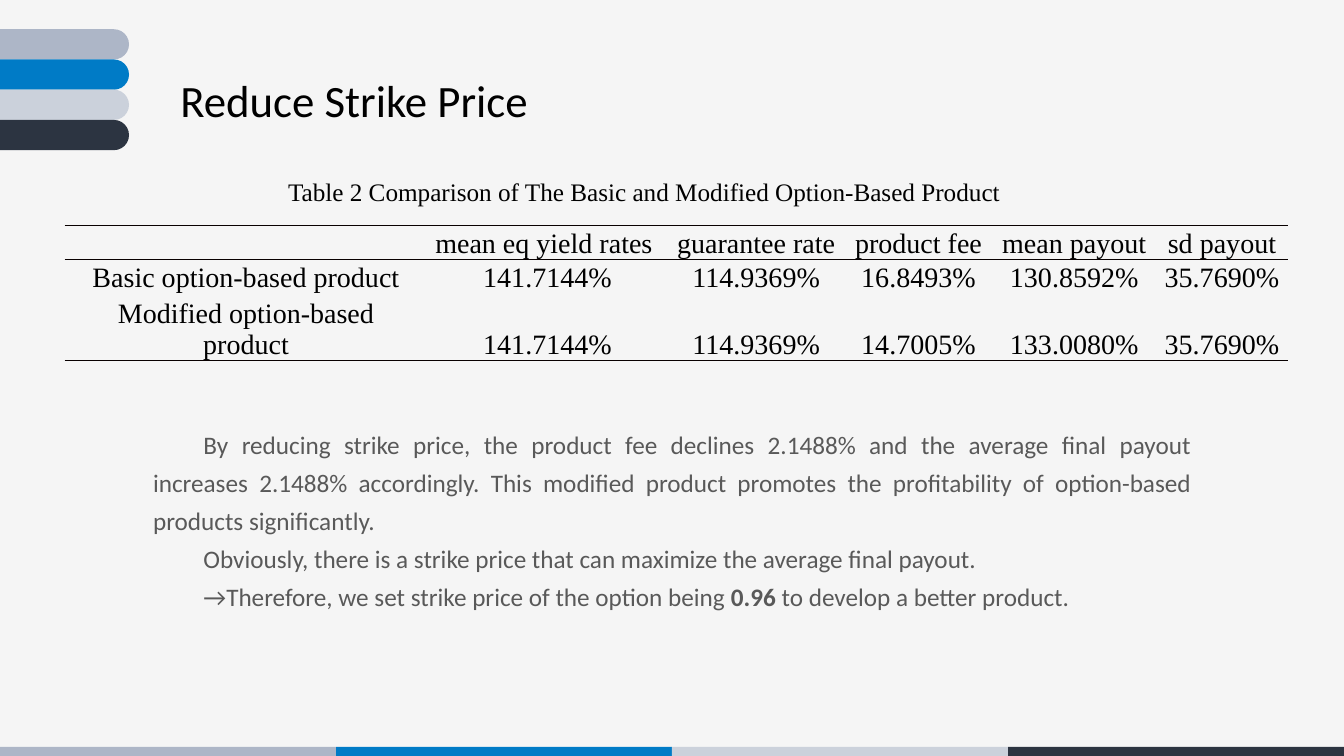
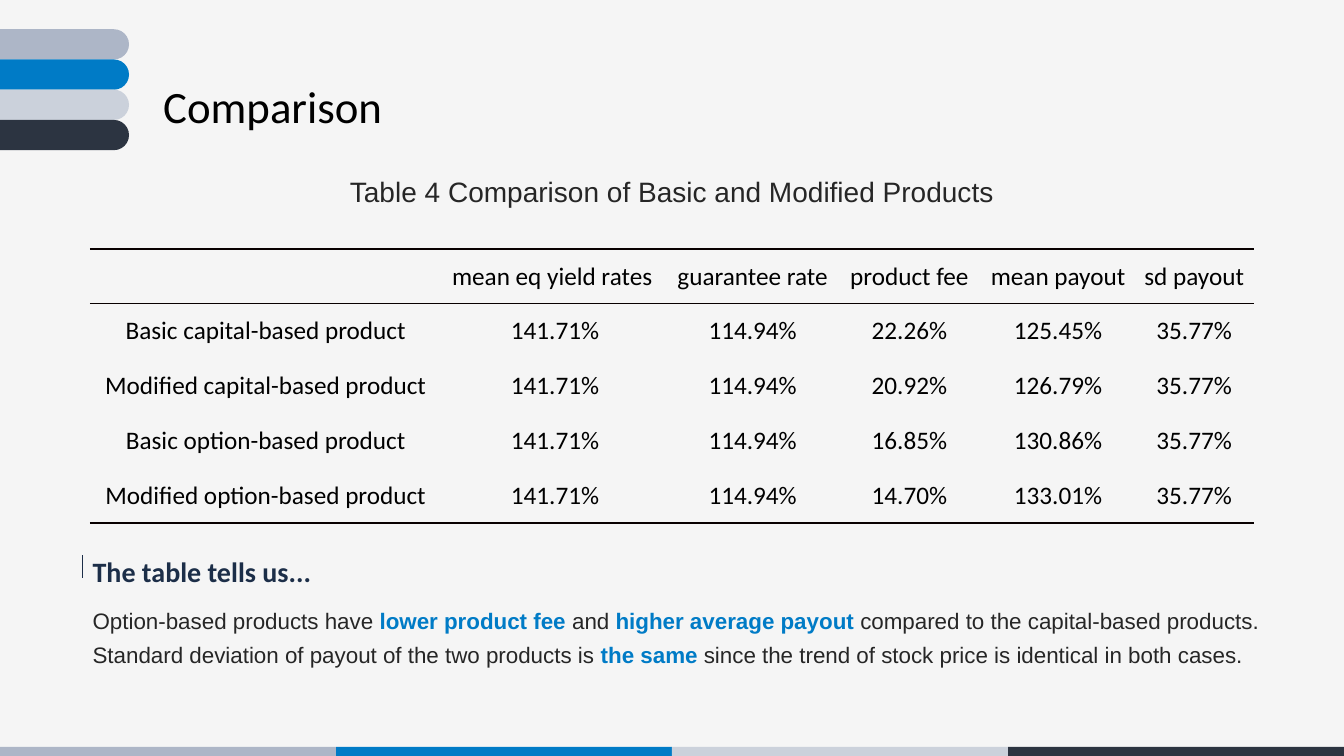
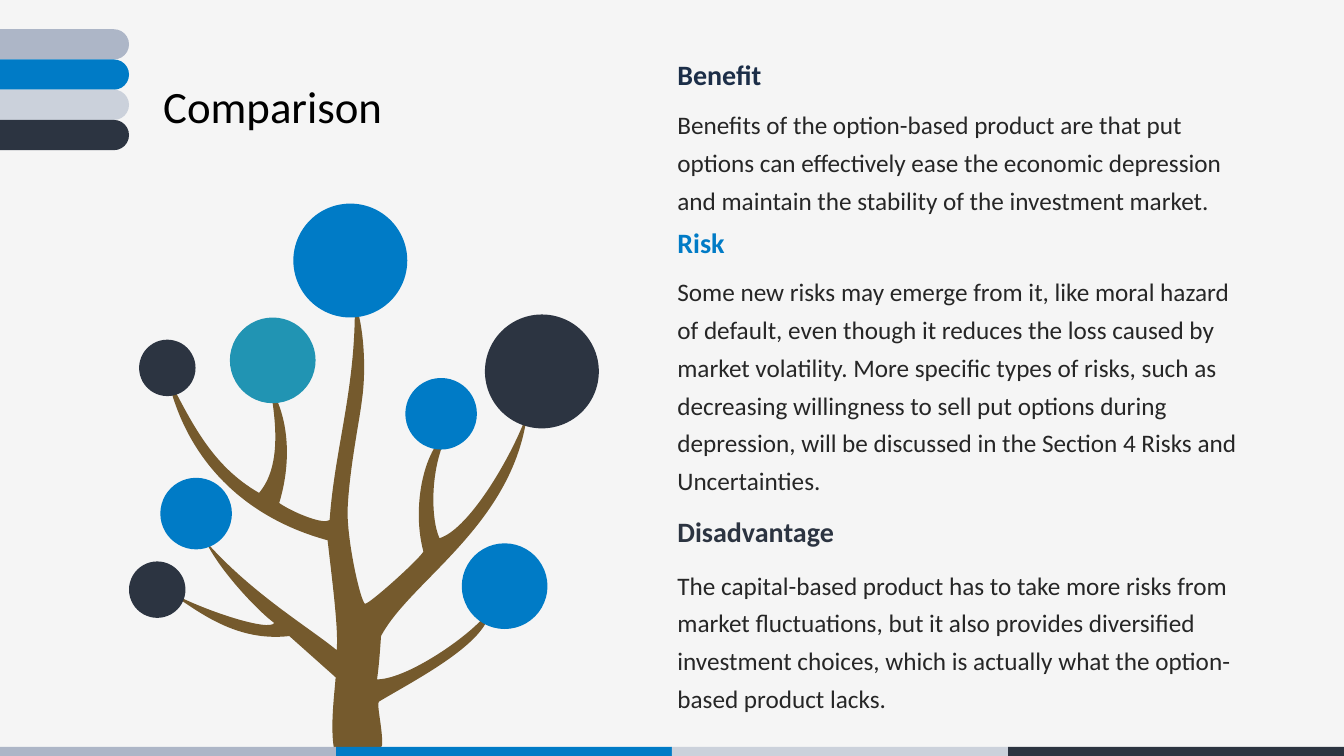
from lxml import etree
from pptx import Presentation
from pptx.dml.color import RGBColor
from pptx.enum.shapes import MSO_CONNECTOR, MSO_SHAPE
from pptx.enum.text import MSO_ANCHOR, PP_ALIGN
from pptx.oxml.ns import qn
from pptx.util import Inches, Pt

RECTANGLE = MSO_SHAPE.RECTANGLE
ROUNDED = MSO_SHAPE.ROUNDED_RECTANGLE
OVAL = MSO_SHAPE.OVAL
STRAIGHT = MSO_CONNECTOR.STRAIGHT
LEFT, CENTER, JUSTIFY = PP_ALIGN.LEFT, PP_ALIGN.CENTER, PP_ALIGN.JUSTIFY
BOTTOM, MIDDLE = MSO_ANCHOR.BOTTOM, MSO_ANCHOR.MIDDLE

GREY, BLUE, PALE, DARK = "ADB6C7", "007BC6", "CBD1DB", "2C3441"
NAVY, TEAL, BROWN = "1C2E48", "2194B3", "755A2D"
BLACK, INK, SOFT, PAPER, RULE = "000000", "262626", "595959", "F5F5F5", "080000"
BAND_COLOURS = [GREY, BLUE, PALE, DARK]
SERIF = "Times New Roman"


def paint(fill, colour):
    """Make any fill (shape, line, font or background) solid in a hex colour."""
    fill.solid()
    fill.fore_color.rgb = RGBColor.from_string(colour)


def write(frame, paragraphs, size=18, font="Calibri", colour=INK, bold=False,
          align=LEFT, spacing=None, indent=None):
    """Fill a text frame; a paragraph is a list of strings or (text, colour) bold spans."""
    frame.word_wrap = True
    for index, spans in enumerate(paragraphs):
        para = frame.paragraphs[0] if index == 0 else frame.add_paragraph()
        para.alignment = align
        if spacing:
            para.line_spacing = spacing
        if indent:
            properties = para._p.get_or_add_pPr()
            properties.set("marL", "0")
            properties.set("indent", str(Inches(indent)))
        for span in spans:
            text, span_colour = (span, colour) if isinstance(span, str) else span
            run = para.add_run()
            run.text = text
            run.font.size = Pt(size)
            run.font.name = font
            run.font.bold = bold or not isinstance(span, str)
            paint(run.font.fill, span_colour)


deck = Presentation()
deck.slide_width, deck.slide_height = Inches(13.33), Inches(7.5)
paint(deck.slide_master.background.fill, PAPER)
pages = [deck.slides.add_slide(deck.slide_layouts[6]) for _ in range(3)]
strike_page, table_page, tree_page = pages

# Shared bands: (page, kind, left, top, width, height, colour)
shapes = []
for page in pages:
    for index, colour in enumerate(BAND_COLOURS):
        shapes.append((page, RECTANGLE, index * 13.33 / 4, 7.41, 13.33 / 4, 0.09, colour))
        shapes.append((page, ROUNDED, -0.62, 0.29 + index * 0.3, 1.9, 0.3, colour))

# Tree trunk: one point is a straight line, three points are a cubic curve
trunk_start = (3.31, 7.41)
trunk_segments = [
    [(3.28, 7.2), (3.31, 6.95), (3.33, 6.72)], [(2.87, 6.31)],
    [(2.35, 6.37), (1.98, 6.08), (1.66, 5.86)],
    [(2.02, 6.06), (2.68, 6.27), (2.72, 6.18)],
    [(2.58, 6.08), (2.19, 5.68), (2.04, 5.37)],
    [(2.5, 5.89), (3.06, 6.22), (3.34, 6.45)],
    [(3.36, 6.24), (3.29, 5.72), (3.25, 5.36)],
    [(2.37, 5.12), (1.83, 4.51), (1.66, 3.73)],
    [(1.9, 4.19), (2.1, 4.62), (2.57, 4.89)],
    [(2.79, 4.63), (2.74, 4.19), (2.68, 3.84)],
    [(2.86, 4.13), (2.9, 4.56), (2.77, 4.99)],
    [(2.88, 5.07), (3.2, 5.21), (3.27, 5.16)],
    [(3.32, 4.45), (3.53, 3.86), (3.52, 3)],
    [(3.6, 3.19), (3.64, 3.63), (3.59, 3.97)],
    [(3.57, 4.15), (3.47, 4.63), (3.45, 5.02)],
    [(3.43, 5.31), (3.57, 5.95), (3.62, 5.99)],
    [(3.66, 6), (4.19, 5.52), (4.2, 5.47)],
    [(4.09, 5.07), (4.18, 4.47), (4.46, 4.27)],
    [(4.26, 4.61), (4.27, 5.15), (4.36, 5.34)],
    [(4.67, 5.24), (5.1, 4.48), (5.23, 4.1)],
    [(5.09, 5.21), (4.07, 5.76), (3.78, 6.31)],
    [(3.77, 6.45), (3.76, 6.6), (3.74, 6.74)],
    [(4.06, 6.74), (4.76, 6.24), (4.86, 6.04)],
    [(4.86, 6.37), (4.11, 6.75), (3.76, 6.96)],
    [(3.73, 6.97), (3.8, 7.25), (3.79, 7.39)],
    [(3.79, 7.39), (3.79, 7.41), (3.78, 7.41)],
]
builder = tree_page.shapes.build_freeform(Inches(trunk_start[0]), Inches(trunk_start[1]))
builder.add_line_segments([(Inches(x), Inches(y)) for segment in trunk_segments
                           for x, y in segment], close=True)
trunk = builder.convert_to_shape()
trunk.shadow.inherit = False
paint(trunk.fill, BROWN)
trunk.line.fill.background()

# Join the three lines of each curve into one cubic segment
lines = iter(list(trunk._element.iter(qn("a:lnTo"))))
for segment in trunk_segments:
    first, *others = [next(lines) for _ in segment]
    if others:
        first.tag = qn("a:cubicBezTo")
        for other in others:
            first.append(other[0])
            other.getparent().remove(other)

# Tree crowns: left, top, diameter, colour
crowns = [
    (4.81, 3.12, 1.13, DARK), (2.91, 2.02, 1.13, BLUE), (1.38, 3.37, 0.56, DARK),
    (1.28, 5.57, 0.56, DARK), (4.02, 3.75, 0.71, BLUE), (4.58, 5.39, 0.85, BLUE),
    (2.28, 3.15, 0.85, TEAL), (1.59, 4.74, 0.71, BLUE),
]
for left, top, diameter, colour in crowns:
    shapes.append((tree_page, OVAL, left, top, diameter, diameter, colour))

for page, kind, left, top, width, height, colour in shapes:
    shape = page.shapes.add_shape(kind, Inches(left), Inches(top), Inches(width), Inches(height))
    shape.shadow.inherit = False
    paint(shape.fill, colour)
    shape.line.fill.background()
    if kind == ROUNDED:
        shape.adjustments[0] = 0.5

# Text boxes: page, (left, top, width, height), paragraphs, format
title = {"size": 32, "colour": BLACK}
texts = [
    (strike_page, (1.69, 0.67, 3.68, 0.64), [["Reduce Strike Price"]], title),
    (table_page, (1.52, 0.73, 2.95, 0.64), [["Comparison"]], title),
    (tree_page, (1.52, 0.73, 2.95, 0.64), [["Comparison"]], title),
    (strike_page, (2.35, 1.7, 8.08, 0.4),
     [["Table 2 Comparison of The Basic and Modified Option-Based Product"]],
     {"font": SERIF, "colour": BLACK, "align": CENTER}),
    (strike_page, (1.42, 4.14, 10.5, 1.97), [
        ["By reducing strike price, the product fee declines 2.1488% and the average final "
         "payout increases 2.1488% accordingly. This modified product promotes the "
         "profitability of option-based products significantly."],
        ["Obviously, there is a strike price that can maximize the average final payout. "],
        ["→Therefore, we set strike price of the option being ", ("0.96", SOFT),
         " to develop a better product. "],
    ], {"colour": SOFT, "align": JUSTIFY, "spacing": 1.25, "indent": 0.5}),
    (table_page, (2.96, 1.68, 7.41, 0.44),
     [["Table 4 Comparison of Basic and Modified Products"]],
     {"size": 20, "font": "Arial", "align": CENTER}),
    (table_page, (0.82, 5.45, 5.22, 0.33), [["The table tells us..."]],
     {"size": 20, "colour": NAVY, "bold": True}),
    (table_page, (0.82, 5.91, 11.99, 0.74), [
        ["Option-based products have", (" lower product fee ", BLUE), "and ",
         ("higher average payout", BLUE), " compared to the capital-based products."],
        ["Standard deviation of payout of the two products is ", ("the same", BLUE),
         " since the trend of stock price is identical in both cases."],
    ], {"size": 16, "font": "Arial", "spacing": 1.25}),
]

# Sections beside the tree: heading, colour, heading top, body top, width, height, body
sections = [
    ("Benefit", NAVY, 0.52, 0.96, 5.95, 1.21,
     "Benefits of the option-based product are that put options can effectively ease the "
     "economic depression and maintain the stability of the investment market."),
    ("Risk", BLUE, 2.19, 2.62, 5.84, 2.34,
     "Some new risks may emerge from it, like moral hazard of default, even though it reduces "
     "the loss caused by market volatility. More specific types of risks, such as decreasing "
     "willingness to sell put options during depression, will be discussed in the Section 4 "
     "Risks and Uncertainties."),
    ("Disadvantage", DARK, 5.06, 5.53, 5.78, 1.59,
     "The capital-based product has to take more risks from market fluctuations, but it also "
     "provides diversified investment choices, which is actually what the option-based "
     "product lacks."),
]
for heading, colour, heading_top, body_top, width, height, body in sections:
    texts.append((tree_page, (6.62, heading_top, 2.62, 0.44), [[heading]],
                  {"size": 20, "colour": colour, "bold": True}))
    texts.append((tree_page, (6.62, body_top, width, height), [[body]], {"spacing": 1.25}))

for page, place, paragraphs, text_format in texts:
    box = page.shapes.add_textbox(*[Inches(length) for length in place])
    write(box.text_frame, paragraphs, **text_format)

marker = table_page.shapes.add_connector(STRAIGHT, Inches(0.82), Inches(5.51),
                                         Inches(0.82), Inches(5.73))
paint(marker.line.fill, NAVY)
marker.line.width = Pt(0.75)
etree.SubElement(marker._element.spPr, qn("a:effectLst"))

# Tables: page, left, top, column widths, row heights, anchor, text format, body rows
header = ["", "mean eq yield rates ", "guarantee rate", "product fee", "mean payout", "sd payout"]
tables = [
    (strike_page, 0.64, 2.24, [3.6, 2.38, 1.76, 1.46, 1.63, 1.3], [0.33, 0.33, 0.67], BOTTOM,
     {"size": 20, "font": SERIF}, [
         ["Basic option-based product", "141.7144%", "114.9369%", "16.8493%", "130.8592%",
          "35.7690%"],
         ["Modified option-based product", "141.7144%", "114.9369%", "14.7005%", "133.0080%",
          "35.7690%"],
     ]),
    (table_page, 0.89, 2.47, [3.49, 2.25, 1.67, 1.44, 1.51, 1.19], [2.72 / 5] * 5, MIDDLE,
     {"size": 18}, [
         ["Basic capital-based product", "141.71%", "114.94%", "22.26%", "125.45%", "35.77%"],
         ["Modified capital-based product", "141.71%", "114.94%", "20.92%", "126.79%", "35.77%"],
         ["Basic option-based product", "141.71%", "114.94%", "16.85%", "130.86%", "35.77%"],
         ["Modified option-based product", "141.71%", "114.94%", "14.70%", "133.01%", "35.77%"],
     ]),
]
for page, left, top, widths, heights, anchor, text_format, body in tables:
    rows = [header] + body
    table = page.shapes.add_table(len(rows), len(header), Inches(left), Inches(top),
                                  Inches(sum(widths)), Inches(sum(heights))).table
    table.first_row = table.horz_banding = False
    for column, width in zip(table.columns, widths):
        column.width = Inches(width)
    for row_index, (values, height) in enumerate(zip(rows, heights)):
        table.rows[row_index].height = Inches(height)
        for column_index, value in enumerate(values):
            cell = table.cell(row_index, column_index)
            cell.vertical_anchor = anchor
            cell.margin_left = cell.margin_right = Inches(0.07)
            cell.margin_top = cell.margin_bottom = 0
            write(cell.text_frame, [[value] if value else []], colour=BLACK, align=CENTER,
                  **text_format)
            ruled = (0, 1, len(rows))
            edges = {"L": False, "R": False, "T": row_index in ruled, "B": row_index + 1 in ruled}
            for edge, visible in edges.items():
                line = etree.SubElement(cell._tc.get_or_add_tcPr(), qn("a:ln" + edge),
                                        w=str(Pt(1)))
                if visible:
                    solid = etree.SubElement(line, qn("a:solidFill"))
                    etree.SubElement(solid, qn("a:srgbClr"), val=RULE)
                else:
                    etree.SubElement(line, qn("a:noFill"))
            cell.fill.background()

deck.save("out.pptx")
